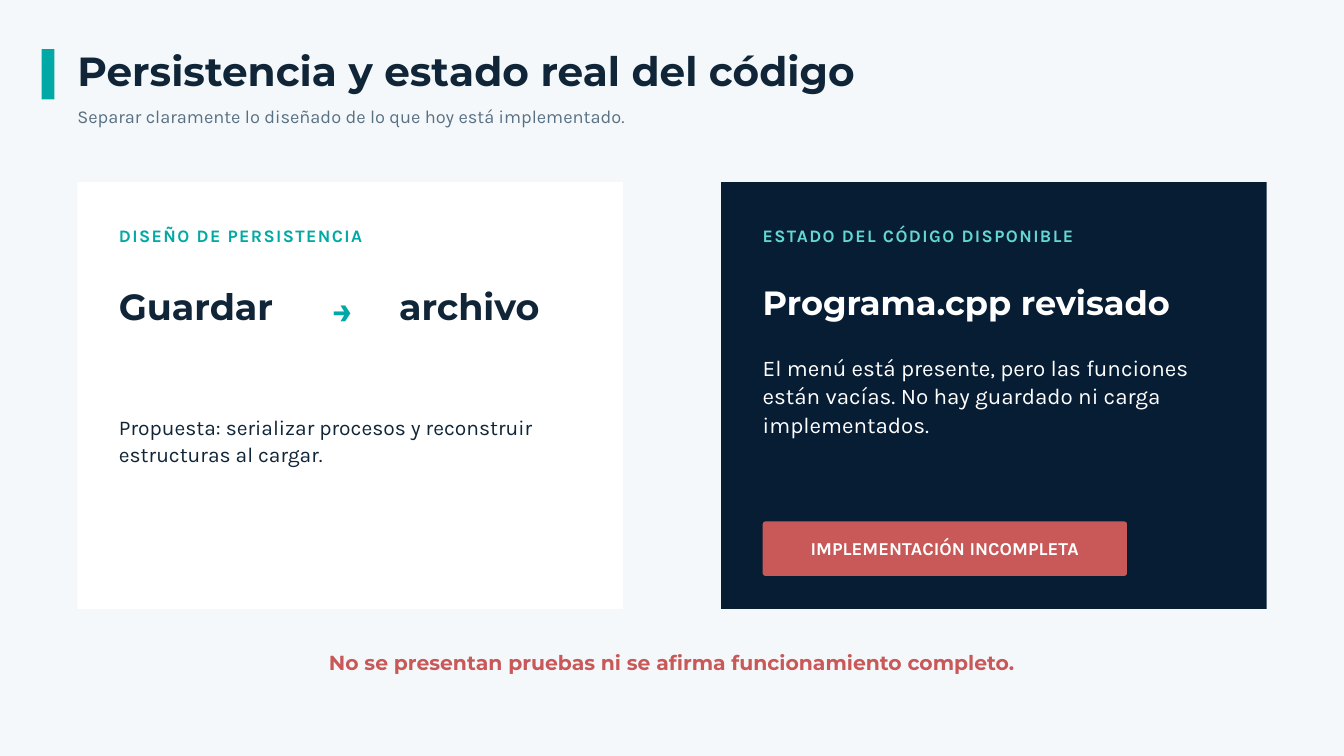
from pptx import Presentation
from pptx.dml.color import RGBColor
from pptx.enum.shapes import MSO_SHAPE
from pptx.enum.text import MSO_ANCHOR, MSO_AUTO_SIZE, PP_ALIGN
from pptx.util import Inches, Pt

BACKGROUND = RGBColor(0xF4, 0xF8, 0xFA)
INK = RGBColor(0x10, 0x26, 0x38)
MUTED = RGBColor(0x58, 0x70, 0x83)
TEAL = RGBColor(0x00, 0xA9, 0xA5)
MINT = RGBColor(0x63, 0xD8, 0xD2)
NAVY = RGBColor(0x07, 0x1D, 0x33)
RED = RGBColor(0xC9, 0x58, 0x58)
WHITE = RGBColor(0xFF, 0xFF, 0xFF)

HEADING = "Montserrat"
BODY = "Karla"
CARD_WIDTH = 8.12
CARD_HEIGHT = 6.35
PADDING = 0.62


def write(frame, text, font, size, color, leading, bold=False, centered=False, tracking=0):
    """Fill a text frame with one paragraph in a single style."""
    frame.word_wrap = True
    paragraph = frame.paragraphs[0]
    run = paragraph.add_run()
    run.text = text
    if tracking:
        run._r.get_or_add_rPr().set("spc", str(int(tracking * 100)))
    paragraph.alignment = PP_ALIGN.CENTER if centered else PP_ALIGN.LEFT
    paragraph.line_spacing = Pt(leading)
    paragraph.font.name = font
    paragraph.font.size = Pt(size)
    paragraph.font.bold = bold
    paragraph.font.color.rgb = color


def add_text(slide, left, top, width, height, *style, **options):
    """Add a text box without margins."""
    box = slide.shapes.add_textbox(Inches(left), Inches(top), Inches(width), Inches(height))
    frame = box.text_frame
    frame.margin_left = frame.margin_top = frame.margin_right = frame.margin_bottom = 0
    frame.auto_size = MSO_AUTO_SIZE.SHAPE_TO_FIT_TEXT
    write(frame, *style, **options)


def add_block(slide, left, top, width, height, color, kind=MSO_SHAPE.RECTANGLE):
    """Add a flat filled shape without outline."""
    block = slide.shapes.add_shape(kind, Inches(left), Inches(top), Inches(width), Inches(height))
    block.shadow.inherit = False
    block.fill.solid()
    block.fill.fore_color.rgb = color
    block.line.fill.background()
    return block


def add_header(slide, left, top, width):
    """Place the accent bar, title and subtitle."""
    add_block(slide, left, top, 0.19, 0.75, TEAL)
    text_left = left + 0.53
    text_width = width - 0.53
    add_text(slide, text_left, top + 0.04, text_width, 0.66,
             "Persistencia y estado real del código", HEADING, 43.5, INK, 46.1, bold=True)
    add_text(slide, text_left, top + 0.82, text_width, 0.34,
             "Separar claramente lo diseñado de lo que hoy está implementado.",
             BODY, 19.5, MUTED, 25)


def add_card(slide, left, top, fill, label, label_color):
    """Place a card with its label and return the left edge of its content."""
    add_block(slide, left, top, CARD_WIDTH, CARD_HEIGHT, fill)
    add_text(slide, left + PADDING, top + 0.59, CARD_WIDTH - 2 * PADDING, 0.34,
             label, BODY, 18.8, label_color, 26.2, bold=True, tracking=1.5)
    return left + PADDING


def add_design_card(slide, left, top):
    """Place the card on the persistence design."""
    inner = add_card(slide, left, top, WHITE, "DISEÑO DE PERSISTENCIA", TEAL)
    for offset, word in ((0, "Guardar"), (4.17, "archivo")):
        add_text(slide, inner + offset, top + 1.6, 2.5, 0.61,
                 word, HEADING, 39, INK, 41.3, bold=True)
    add_text(slide, inner + 2.81, top + 1.66, 1.04, 0.58,
             "→", HEADING, 37.5, TEAL, 39.8, bold=True, centered=True)
    add_text(slide, inner, top + 3.43, 6.67, 0.77,
             "Propuesta: serializar procesos y reconstruir estructuras al cargar.",
             BODY, 22.5, INK, 28.8)


def add_status_card(slide, left, top):
    """Place the card on the state of the code, with its badge."""
    inner = add_card(slide, left, top, NAVY, "ESTADO DEL CÓDIGO DISPONIBLE", MINT)
    add_text(slide, inner, top + 1.56, 6.88, 0.54,
             "Programa.cpp revisado", HEADING, 36, WHITE, 37.4, bold=True)
    add_text(slide, inner, top + 2.53, 6.77, 1.24,
             "El menú está presente, pero las funciones están vacías. "
             "No hay guardado ni carga implementados.", BODY, 24, WHITE, 30.7)
    badge = add_block(slide, inner, top + 5.05, 5.42, 0.81, RED, MSO_SHAPE.ROUNDED_RECTANGLE)
    badge.adjustments[0] = 0.05
    badge.text_frame.vertical_anchor = MSO_ANCHOR.MIDDLE
    write(badge.text_frame, "IMPLEMENTACIÓN INCOMPLETA", BODY, 19.5, WHITE, 21.4,
          bold=True, centered=True)


def add_footer(slide, left, top, width):
    """Place the closing warning."""
    add_text(slide, left, top, width, 0.32,
             "No se presentan pruebas ni se afirma funcionamiento completo.",
             HEADING, 21.8, RED, 23.1, bold=True, centered=True)


def main():
    """Build and save the presentation."""
    presentation = Presentation()
    presentation.slide_width = Inches(20)
    presentation.slide_height = Inches(11.25)
    slide = presentation.slides.add_slide(presentation.slide_layouts[6])
    slide.background.fill.solid()
    slide.background.fill.fore_color.rgb = BACKGROUND
    add_header(slide, 0.62, 0.73, 16.15)
    add_design_card(slide, 1.15, 2.71)
    add_status_card(slide, 10.73, 2.71)
    add_footer(slide, 3.96, 9.72, 12.08)
    presentation.save("out.pptx")


if __name__ == "__main__":
    main()
